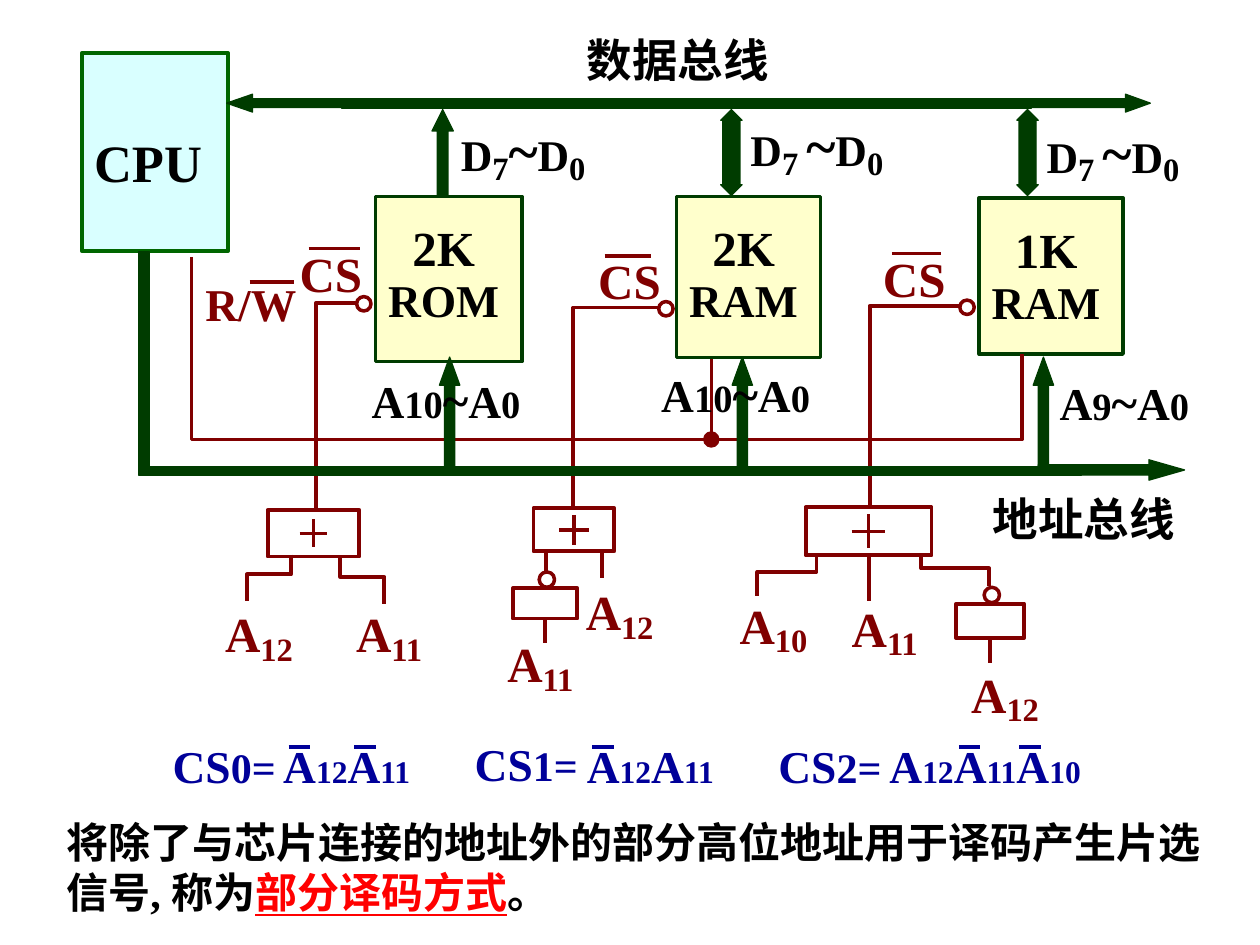
"""Builds the slide on partial address decoding between a CPU and three memory chips."""
from dataclasses import dataclass

from lxml.etree import SubElement
from pptx import Presentation
from pptx.dml.color import RGBColor
from pptx.enum.shapes import MSO_CONNECTOR, MSO_SHAPE
from pptx.enum.text import MSO_ANCHOR, PP_ALIGN
from pptx.oxml.ns import qn
from pptx.util import Cm, Pt


@dataclass(frozen=True)
class Theme:
    font: str = "Times New Roman"
    ink: str = "000000"
    bus: str = "003C00"
    control: str = "800000"
    formula: str = "000099"
    accent: str = "FF0000"
    cpu_fill: str = "D9FFFF"
    cpu_line: str = "006600"
    chip_fill: str = "FFFFCC"
    cpu_size: int = 30
    large: int = 28
    medium: int = 26
    pin: int = 25
    body: int = 24
    index: int = 22
    small: int = 18
    sub: int = 32
    thin: float = 0.75
    line: float = 2
    thick: float = 2.25


class Diagram:
    def __init__(self, slide, theme):
        self.shapes = slide.shapes
        self.theme = theme

    def add_runs(self, paragraph, runs, color):
        for words, size, *options in runs:
            run = paragraph.add_run()
            run.text = words
            font = run.font
            font.name, font.size, font.bold = self.theme.font, Pt(size), True
            font.color.rgb = RGBColor.from_string(color)
            if "sub" in options:
                font._element.set("baseline", "-15000")
            if "key" in options:
                font.underline = True
                font.color.rgb = RGBColor.from_string(self.theme.accent)

    def text(self, left, top, width, runs, color, height=1.4):
        frame = self.shapes.add_textbox(Cm(left), Cm(top), Cm(width), Cm(height)).text_frame
        frame.word_wrap = True
        self.add_runs(frame.paragraphs[0], runs, color)

    def paint(self, shape, fill, line, weight):
        shape.shadow.inherit = False
        if fill:
            shape.fill.solid()
            shape.fill.fore_color.rgb = RGBColor.from_string(fill)
        else:
            shape.fill.background()
        shape.line.color.rgb = RGBColor.from_string(line)
        shape.line.width = Pt(weight)
        return shape

    def preset(self, kind, left, top, width, height, fill, line, weight):
        shape = self.shapes.add_shape(kind, Cm(left), Cm(top), Cm(width), Cm(height))
        return self.paint(shape, fill, line, weight)

    def block(self, box, lines, fill, line, weight, insets, anchor):
        shape = self.preset(MSO_SHAPE.RECTANGLE, *box, fill, line, weight)
        frame = shape.text_frame
        frame.vertical_anchor = anchor
        frame.margin_left, frame.margin_top, frame.margin_right = map(Cm, insets)
        for number, (words, size, spacing) in enumerate(lines):
            paragraph = frame.add_paragraph() if number else frame.paragraphs[0]
            paragraph.alignment = PP_ALIGN.CENTER
            paragraph.line_spacing = spacing
            self.add_runs(paragraph, [(words, size)], self.theme.ink)

    def bus(self, kind, left, top, width, height, head=None):
        color = self.theme.bus
        shape = self.preset(kind, left, top, width, height, color, color, self.theme.thin)
        if head:
            shape.adjustments[1] = head

    def circle(self, left, top, size=0.29, fill=None):
        self.preset(MSO_SHAPE.OVAL, left, top, size, size, fill, self.theme.control, self.theme.line)

    def line(self, x1, y1, x2, y2, color=None, weight=None, start=None):
        link = self.shapes.add_connector(MSO_CONNECTOR.STRAIGHT, Cm(x1), Cm(y1), Cm(x2), Cm(y2))
        link.line.color.rgb = RGBColor.from_string(color or self.theme.control)
        link.line.width = Pt(weight or self.theme.line)
        SubElement(link._element.spPr, qn("a:effectLst"))
        if start is not None:
            link.begin_connect(start, 2)

    def wire(self, points, weight=None):
        first, *rest = [(Cm(x), Cm(y)) for x, y in points]
        builder = self.shapes.build_freeform(*first)
        builder.add_line_segments(rest, close=False)
        self.paint(builder.convert_to_shape(), None, self.theme.control, weight or self.theme.thick)

    def gate(self, x, y, width, height, plus):
        box = (x - width / 2, y - height / 2, width, height)
        shape = self.preset(MSO_SHAPE.RECTANGLE, *box, None, self.theme.control, self.theme.thick)
        self.line(x, y - plus / 2, x, y + plus / 2)
        self.line(x - plus / 2, y, x + plus / 2, y)
        return shape

    def inverter(self, x, top, width, height):
        box = (x - width / 2, top, width, height)
        shape = self.preset(MSO_SHAPE.RECTANGLE, *box, None, self.theme.control, self.theme.thick)
        self.circle(x - 0.12, top - 0.33, 0.31)
        bottom = top + height
        self.line(x, bottom, x, bottom + 0.5, weight=self.theme.thick, start=shape)

    def address(self, left, top, number):
        runs = [("A", self.theme.large), (number, self.theme.sub, "sub")]
        self.text(left, top, 2.1, runs, self.theme.control)


def draw_blocks(d, t):
    d.block((1.65, 1.07, 2.95, 3.99), [("CPU", t.cpu_size, 1)], t.cpu_fill, t.cpu_line,
            t.thick, (0, 0.52, 0.28), MSO_ANCHOR.MIDDLE)
    for left, top, width, height, capacity, kind in [
            (13.64, 3.96, 2.9, 3.25, "2K", "RAM"), (7.57, 3.96, 2.95, 3.33, "2K", "ROM"),
            (19.74, 3.99, 2.9, 3.15, "1K", "RAM")]:
        d.block((left, top, width, height), [(capacity, t.large, 1.25), (kind, t.medium, 0.95)],
                t.chip_fill, t.bus, t.line, (0.05, 0.13, 0.25), MSO_ANCHOR.TOP)


def draw_data_bus(d, t):
    d.text(11.58, 0.53, 4.75, [("数据总线", t.medium)], t.ink)
    d.bus(MSO_SHAPE.RIGHT_ARROW, 20.27, 1.9, 2.92, 0.36, 1.39)
    d.bus(MSO_SHAPE.RECTANGLE, 6.88, 1.98, 13.92, 0.2)
    d.bus(MSO_SHAPE.LEFT_ARROW, 4.57, 1.9, 2.92, 0.36, 1.45)
    for kind, left, head, label_left, label_top, seven in [
            (MSO_SHAPE.UP_ARROW, 8.71, 1, 9.04, 2.21, "7"),
            (MSO_SHAPE.UP_DOWN_ARROW, 14.53, 0.8, 14.88, 2.11, "7 "),
            (MSO_SHAPE.UP_DOWN_ARROW, 20.5, 0.8, 20.85, 2.24, "7 ")]:
        d.bus(kind, left, 2.21, 0.43, 1.73, head)
        pins = [("D", t.pin), (seven, t.sub, "sub"), ("~", t.sub), ("D", t.pin), ("0", t.sub, "sub")]
        d.text(label_left, label_top, 4.06, pins, t.ink, 1.6)


def draw_chip_selects(d, t):
    for x, bottom, y, bubble, label_left, label_top, bar, bar_end in [
            (6.38, 10.29, 6.1, 7.19, 5.79, 4.78, 6.22, 7.26),
            (11.56, 10.26, 6.2, 13.28, 11.81, 4.93, 12.19, 13.13),
            (17.53, 10.24, 6.17, 19.35, 17.55, 4.88, 17.98, 18.97)]:
        d.circle(bubble, y - 0.12)
        d.wire([(x, bottom), (x, y), (bubble, y)])
        d.text(label_left, label_top, 2.4, [("CS", t.large)], t.control)
        bar_y = label_top + 0.23
        d.line(bar, bar_y, bar_end, bar_y)


def draw_decoders(d, t):
    d.gate(6.32, 10.75, 1.85, 0.94, 0.56)
    d.gate(11.57, 10.68, 1.63, 0.87, 0.6)
    last_gate = d.gate(17.51, 10.71, 2.54, 0.97, 0.68)
    for x, top, turn, end, bottom in [
            (5.87, 11.18, 11.58, 4.98, 12.12), (6.86, 11.23, 11.63, 7.75, 12.17),
            (16.46, 11.2, 11.53, 15.27, 12.01), (18.57, 11.18, 11.46, 19.94, 11.81)]:
        d.wire([(x, top), (x, turn), (end, turn), (end, bottom)])
    d.line(11, 11.1, 11, 11.56, weight=t.thick)
    d.line(12.14, 11.1, 12.14, 11.66, weight=t.thick)
    d.line(17.51, 11.2, 17.51, 12.12, weight=t.thick, start=last_gate)
    d.inverter(10.99, 11.86, 1.3, 0.61)
    d.inverter(19.96, 12.17, 1.37, 0.69)
    for left, top, number in [
            (4.29, 11.91, "12"), (6.93, 11.91, "11"), (9.98, 12.51, "11"), (11.56, 11.46, "12"),
            (14.66, 11.73, "10"), (16.92, 11.79, "11"), (19.33, 13.13, "12")]:
        d.address(left, top, number)


def draw_formulas(d, t):
    for left, top, number, term_left, indexes, bars in [
            (3.23, 14.76, "0=", 5.46, ("12", "11"), (5.82, 7.14)),
            (9.32, 14.71, "1=", 11.58, ("12", "11"), (11.94,)),
            (15.44, 14.76, "2=", 17.68, ("12", "11", "10"), (19.33, 20.55))]:
        d.text(left, top, 3, [("CS", t.medium), (number, t.body)], t.formula)
        terms = [run for index in indexes for run in (("A", t.medium), (index, t.small))]
        d.text(term_left, 14.76, 5.4, terms, t.formula)
        for bar in bars:
            d.line(bar, 15.06, bar + 0.43, 15.06, t.formula)


def draw_control_line(d, t):
    d.wire([(3.86, 5.18), (3.86, 8.86), (20.6, 8.86), (20.6, 7.14)], t.line)
    d.line(14.34, 8.86, 14.34, 7.24)
    d.circle(14.21, 8.73, 0.26, t.control)
    d.text(3.89, 5.44, 2.4, [("R/W", t.medium)], t.control)
    d.line(5.03, 5.69, 5.92, 5.69)


def draw_address_bus(d, t):
    d.bus(MSO_SHAPE.RECTANGLE, 2.79, 5.08, 0.23, 4.45)
    for left, label_left, label_top, high in [
            (8.86, 7.24, 7.32, "10"), (14.76, 13.08, 7.21, "10"), (20.83, 21.11, 7.37, "9")]:
        d.bus(MSO_SHAPE.UP_ARROW, left, 7.2, 0.41, 2.27, 1.38)
        span = [("A", t.medium), (high, t.index), ("~", t.large), ("A", t.medium), ("0", t.index)]
        d.text(label_left, label_top, 3.95, span, t.ink)
    d.bus(MSO_SHAPE.RIGHT_ARROW, 20.93, 9.27, 2.95, 0.41, 1.75)
    d.bus(MSO_SHAPE.RECTANGLE, 2.79, 9.4, 19.02, 0.18)
    d.text(19.76, 9.78, 4.6, [("地址总线", t.medium)], t.ink)


def main():
    deck = Presentation()
    deck.slide_width, deck.slide_height = Cm(25.4), Cm(19.05)
    theme = Theme()
    diagram = Diagram(deck.slides.add_slide(deck.slide_layouts[6]), theme)
    for draw in (draw_blocks, draw_data_bus, draw_chip_selects, draw_decoders, draw_formulas,
                 draw_control_line, draw_address_bus):
        draw(diagram, theme)
    diagram.text(1.09, 16.33, 23.6, [
        ("将除了与芯片连接的地址外的部分高位地址用于译码产生片选信号, 称为", theme.body),
        ("部分译码方式", theme.body, "key"), ("。", theme.body)], theme.ink, 2.31)
    deck.save("out.pptx")


if __name__ == "__main__":
    main()
